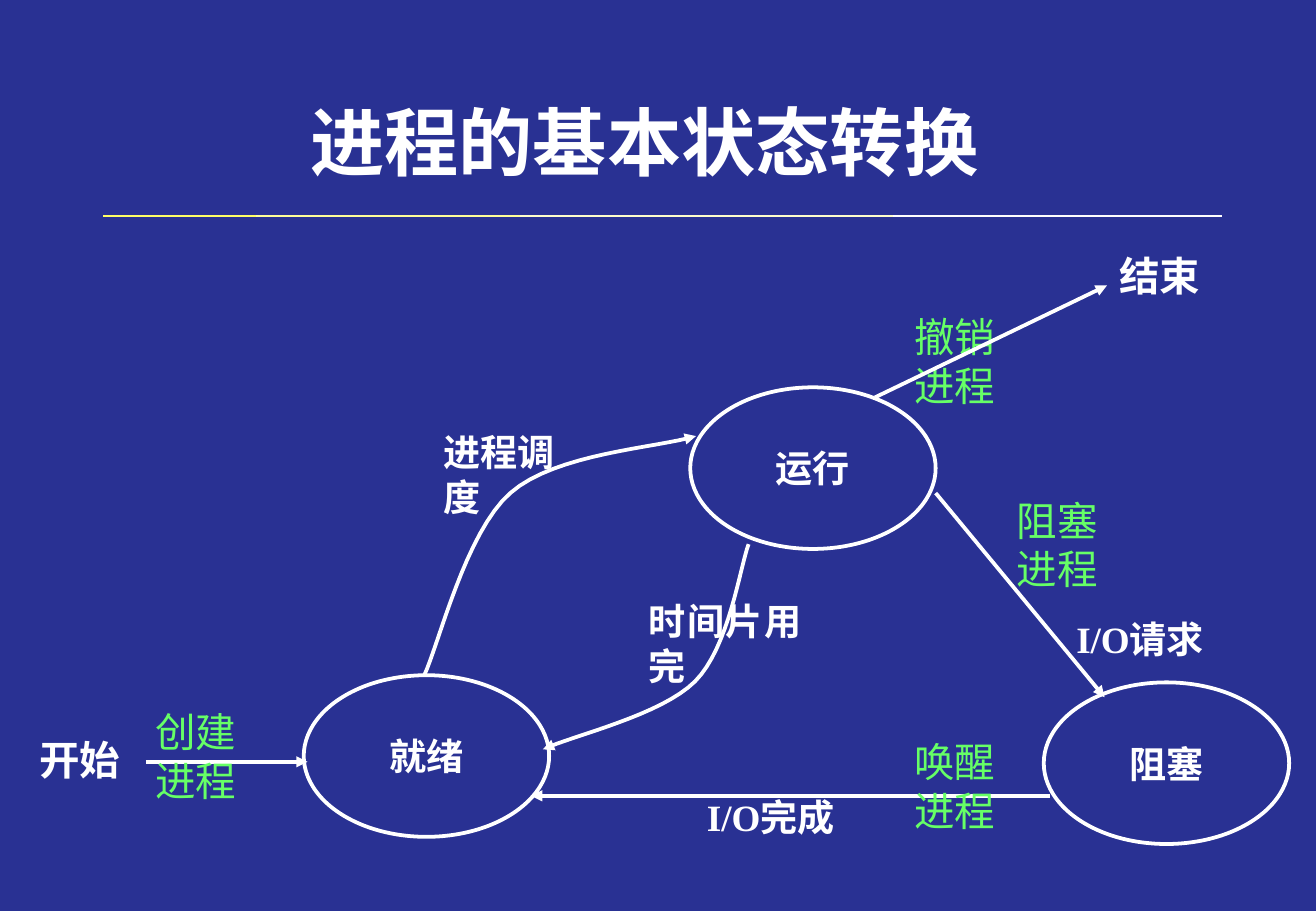
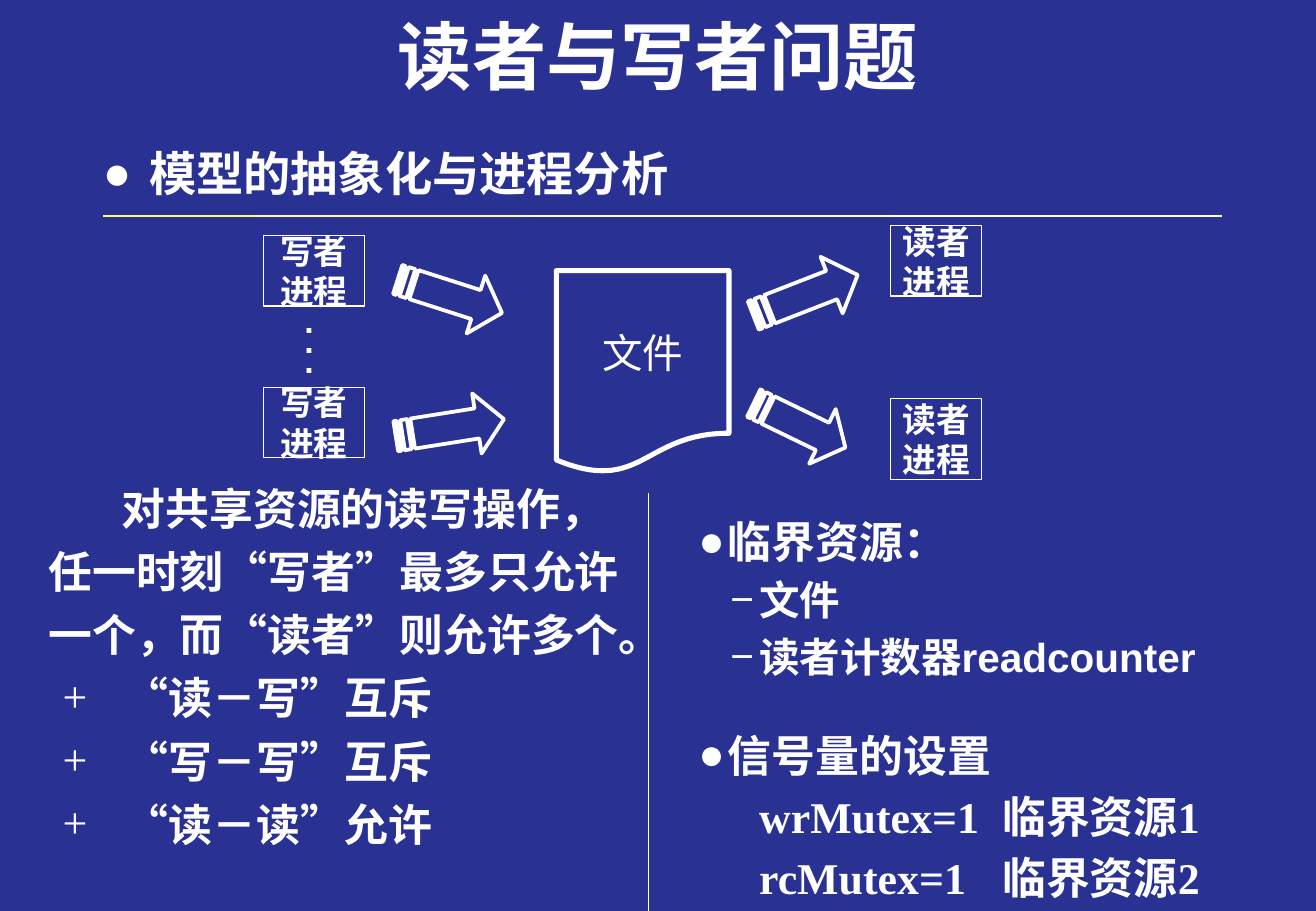
from collections import namedtuple

from lxml.etree import SubElement
from pptx import Presentation
from pptx.dml.color import RGBColor
from pptx.enum.shapes import MSO_CONNECTOR, MSO_SHAPE
from pptx.enum.text import MSO_ANCHOR, PP_ALIGN
from pptx.oxml.ns import qn
from pptx.util import Cm, Pt

WHITE, GREEN, NAVY = "FFFFFF", "66FF66", "293193"
RULE = [("FFFFFF", 18.67, 25.55), ("FFFFCC", 10.87, 18.67),
        ("FFFF99", 5.36, 10.87), ("FFFF66", 2.16, 5.36)]
CJK = "Noto Sans CJK SC"

MID = {"alignment": PP_ALIGN.CENTER}
EVEN = {"alignment": PP_ALIGN.JUSTIFY}
WRAP = {"word_wrap": True}
FREE = {"word_wrap": False}
MIDDLE = {"vertical_anchor": MSO_ANCHOR.MIDDLE}
TIGHT = {"word_wrap": True, "margin_left": 0, "margin_right": 0,
         "margin_top": 0, "margin_bottom": 0}

Line = namedtuple("Line", "text form mark", defaults=({}, {}))


def color(code):
    return RGBColor.from_string(code)


def face(size, name="Arial", bold=True):
    return {"size": Pt(size), "name": name, "bold": bold}


def apply(item, form):
    for key, value in form.items():
        setattr(item, key, value)


def indent(para, left=0, first=0, sign=None, font="Arial", tab=None):
    props = para._p.get_or_add_pPr()
    props.set("marL", str(Cm(left)))
    props.set("indent", str(Cm(first)))
    if sign:
        tint = SubElement(props, qn("a:buClr"))
        SubElement(tint, qn("a:srgbClr"), val=WHITE)
        SubElement(props, qn("a:buFont"), typeface=font)
        SubElement(props, qn("a:buChar"), char=sign)
    if tab:
        stops = SubElement(props, qn("a:tabLst"))
        SubElement(stops, qn("a:tab"), pos=str(Cm(tab)), algn="l")


def write(shape, lines, font, frame=WRAP, ink=WHITE):
    body = shape.text_frame
    apply(body, frame)
    for num, line in enumerate(lines):
        para = body.add_paragraph() if num else body.paragraphs[0]
        if line.mark:
            indent(para, **line.mark)
        apply(para, line.form)
        run = para.add_run()
        run.text = line.text
        apply(run.font, font)
        run.font.color.rgb = color(ink)
        SubElement(run._r.get_or_add_rPr(), qn("a:ea"), typeface=CJK)


def label(slide, box, lines, font, frame=WRAP, ink=WHITE):
    shape = slide.shapes.add_textbox(*map(Cm, box))
    write(shape, lines, font, frame, ink)


def stroke(shape, width, ink=WHITE, head=False):
    shape.line.color.rgb = color(ink)
    shape.line.width = Pt(width)
    if head:
        edge = shape.element.spPr.find(qn("a:ln"))
        SubElement(edge, qn("a:tailEnd"), type="triangle")


def hollow(shape, width, head=False):
    shape.shadow.inherit = False
    shape.fill.background()
    stroke(shape, width, head=head)


def link(slide, ends, width=2.25, ink=WHITE, head=True):
    wire = slide.shapes.add_connector(MSO_CONNECTOR.STRAIGHT, *map(Cm, ends))
    stroke(wire, width, ink, head)
    SubElement(wire.element.spPr, qn("a:effectLst"))


def node(slide, kind, box, lines, font, frame, width):
    shape = slide.shapes.add_shape(kind, *map(Cm, box))
    hollow(shape, width)
    write(shape, lines, font, frame)


def trace(slide, paths, close):
    pen = None
    for path in paths:
        dots = [(Cm(x), Cm(y)) for x, y in path]
        if pen is None:
            pen = slide.shapes.build_freeform(*dots[0], scale=1.0)
        else:
            pen.move_to(*dots[0])
        pen.add_line_segments(dots[1:], close=close)
    return pen.convert_to_shape()


def curve(slide, dots, steps=16):
    path = [dots[0]]
    for base in range(0, len(dots) - 1, 3):
        part = dots[base:base + 4]
        for step in range(1, steps + 1):
            t = step / steps
            rates = [(1 - t) ** 3, 3 * t * (1 - t) ** 2, 3 * t * t * (1 - t), t ** 3]
            path.append(tuple(sum(r * dot[axis] for r, dot in zip(rates, part))
                              for axis in (0, 1)))
    hollow(trace(slide, [path], False), 2.25, head=True)


def arrow(slide, left, top, wide, high, turn):
    bars = [[(a, .25), (b, .25), (b, .75), (a, .75)]
            for a, b in [(0, 1 / 32), (1 / 16, 1 / 8)]]
    body = [(5 / 32, .25), (.75, .25), (.75, 0), (1, .5),
            (.75, 1), (.75, .75), (5 / 32, .75)]
    paths = [[(left + x * wide, top + y * high) for x, y in path]
             for path in [body] + bars]
    shape = trace(slide, paths, True)
    hollow(shape, 2.25)
    shape.rotation = turn


def start(deck, title, box):
    slide = deck.slides.add_slide(deck.slide_layouts[6])
    for ink, left, right in RULE:
        link(slide, (left, 4.52, right, 4.52), .75, ink, False)
    label(slide, box, [Line(title, MID)], face(44, CJK), {**WRAP, **MIDDLE})
    return slide


def states(deck):
    slide = start(deck, "进程的基本状态转换", (1.78, 1.35, 23.39, 3.18))
    font = face(22, "Times New Roman")
    for text, left, top in [("运行", 14.43, 8.1), ("就绪", 6.35, 14.12),
                            ("阻塞", 21.82, 14.27)]:
        node(slide, MSO_SHAPE.OVAL, (left, top, 5.13, 3.38),
             [Line(text, MID)], font, TIGHT, 2.25)
    curve(slide, [(8.87, 14.12), (9.17, 13.49), (9.73, 11.13), (10.67, 10.31),
                  (11.63, 9.47), (13.74, 9.37), (14.55, 9.12)])
    curve(slide, [(15.65, 11.38), (15.47, 11.86), (15.24, 13.54), (14.53, 14.25),
                  (13.82, 14.96), (12.01, 15.37), (11.35, 15.67)])
    for ends in [(21.95, 16.64, 11.1, 16.64), (19.56, 10.31, 23.09, 14.58),
                 (3.05, 15.93, 6.43, 15.93)]:
        link(slide, ends)
    for text, form, box in [("I/O完成", EVEN, (14.78, 16.61, 6.83, 2.2)),
                            ("进程调度", {}, (9.27, 8.99, 2.41, 3.53)),
                            ("时间片用完", EVEN, (13.56, 12.52, 3.2, 4.11)),
                            ("I/O请求", EVEN, (22.5, 12.9, 4.83, 2.03))]:
        label(slide, box, [Line(text, form)], font, TIGHT)
    for text, left, top in [("创建进程", 2.82, 14.66), ("撤销进程", 18.69, 6.4),
                            ("唤醒进程", 18.69, 15.29), ("阻塞进程", 20.83, 10.24)]:
        label(slide, (left, top, 2.54, 2.29), [Line(text, MID)],
              face(24, bold=False), ink=GREEN)
    link(slide, (18.29, 8.31, 23.14, 5.97))
    for text, left, top in [("结束", 23.14, 5.13), ("开始", .56, 15.24)]:
        label(slide, (left, top, 2.21, 1.27), [Line(text, MID)], face(24), FREE)


def model(slide):
    label(slide, (1.9, 2.9, 16.71, 1.45),
          [Line("模型的抽象化与进程分析", {}, {"left": .97, "first": -.97, "sign": "●"})],
          face(28))
    frame = {**FREE, **MIDDLE}
    node(slide, MSO_SHAPE.FLOWCHART_DOCUMENT, (11.63, 5.66, 3.61, 4.24),
         [Line("文件", MID)], face(24, bold=False), frame, 3)
    for text, box in [("写者", (5.51, 4.93, 2.11, 1.47)), ("写者", (5.51, 8.1, 2.11, 1.47)),
                      ("读者", (18.62, 4.72, 1.9, 1.47)), ("读者", (18.62, 8.33, 1.9, 1.7))]:
        node(slide, MSO_SHAPE.RECTANGLE, box,
             [Line(text, MID), Line("进程", MID)], face(20), frame, .75)
    label(slide, (5.51, 6.63, 1.9, 1.27),
          [Line(".", {**MID, "line_spacing": .5})] * 3, face(20), frame)
    for left, top, wide, turn in [(8.26, 5.56, 2.29, 17.8), (15.67, 5.54, 2.34, 338.7),
                                  (15.65, 8.26, 2.13, 25.9), (8.26, 8.31, 2.29, 351)]:
        arrow(slide, left, top, wide, 1.27, turn)


def readers(deck):
    slide = start(deck, "读者与写者问题", (2.06, -.23, 23.39, 2.74))
    model(slide)
    loose = {"line_spacing": 1.2}
    plus = {"left": 2.36, "first": -1.3, "sign": "+", "font": "Times New Roman"}
    text = "对共享资源的读写操作，任一时刻“写者”最多只允许一个，而“读者”则允许多个。"
    rules = ["“读－写”互斥", "“写－写”互斥", "“读－读”允许"]
    label(slide, (0, 9.73, 13.56, 8.53),
          [Line(text, loose, {"left": .76, "first": 1.53})]
          + [Line(rule, loose, plus) for rule in rules], face(26))
    dot = {"left": .61, "first": -.61, "sign": "●"}
    dash = {"left": 1.27, "first": -.6, "sign": "−"}
    gap = {"space_before": Pt(5)}
    label(slide, (14.35, 10.64, 13.08, 1.4), [Line("临界资源：", {}, dot)], face(26))
    label(slide, (14.35, 11.9, 13.08, 2.5),
          [Line("文件", {}, dash), Line("读者计数器readcounter", gap, dash)], face(24))
    stop = {"first": 1.27, "tab": 7.92}
    label(slide, (14.35, 15.11, 13.08, 4.01),
          [Line("信号量的设置", {}, dot), Line("wrMutex=1\t临界资源1", gap, stop),
           Line("rcMutex=1\t临界资源2", gap, stop)], face(26, "Times New Roman"))
    link(slide, (13.56, 10.31, 13.56, 19.05), .75, head=False)


def main():
    deck = Presentation()
    apply(deck, {"slide_width": Cm(27.51), "slide_height": Cm(19.05)})
    fill = deck.slide_master.background.fill
    fill.solid()
    fill.fore_color.rgb = color(NAVY)
    states(deck)
    readers(deck)
    deck.save("out.pptx")


if __name__ == "__main__":
    main()
